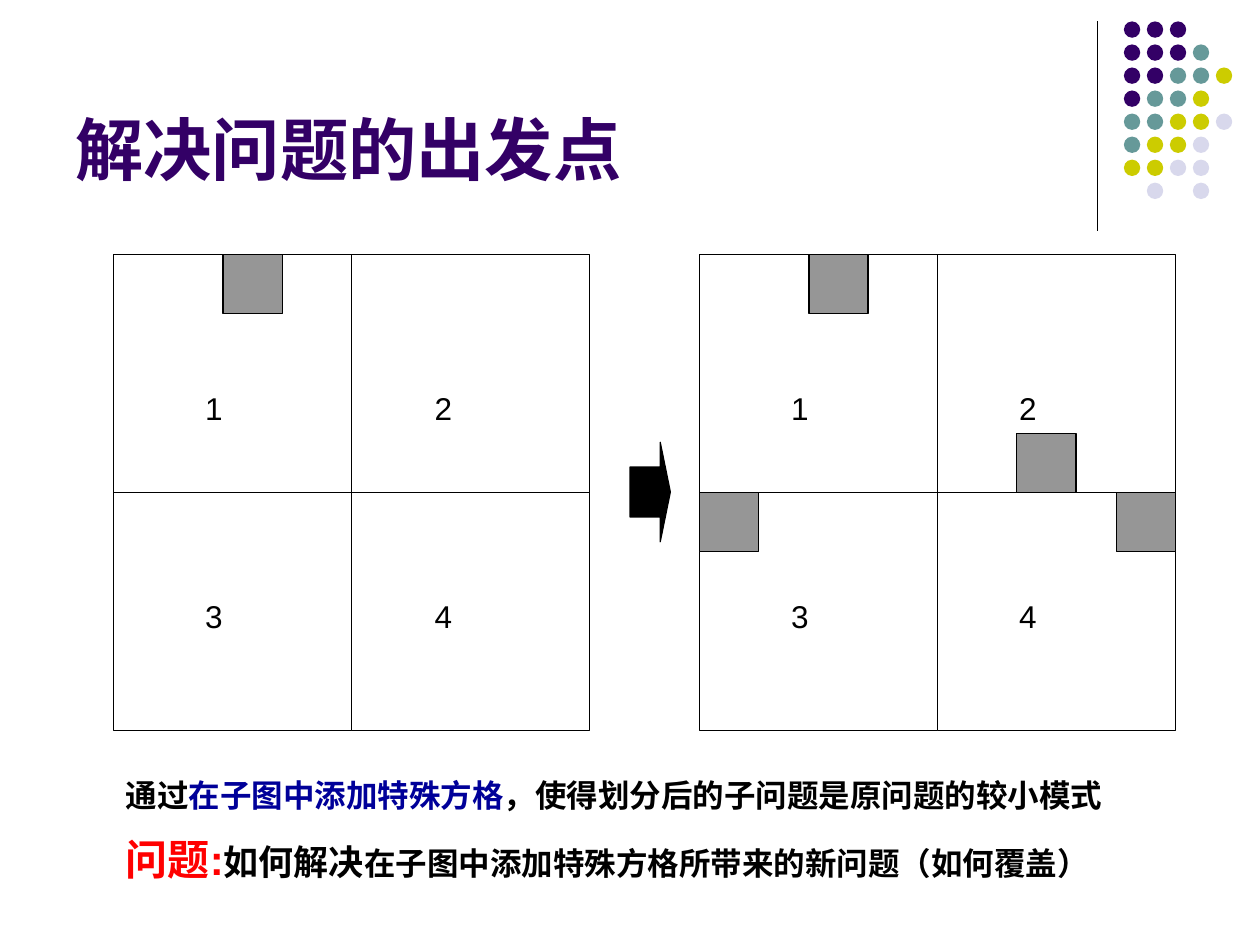
"""Build the slide on dividing a chessboard by adding special squares."""
from lxml import etree
from pptx import Presentation, util as u
from pptx.dml.color import RGBColor
from pptx.enum import shapes, text
from pptx.oxml import ns

Inches, Pt = u.Inches, u.Pt
rgb = RGBColor.from_string


def add_box(parent, kind, x, y, w, h, fill, line=None):
    sp = parent.add_shape(kind, Inches(x), Inches(y), Inches(w), Inches(h))
    sp.shadow.inherit = False
    sp.fill.solid()
    sp.fill.fore_color.rgb = rgb(fill)
    if line:
        sp.line.color.rgb = rgb(line)
        sp.line.width = Pt(0.75)
    else:
        sp.line.fill.background()
    return sp


def add_text(parent, x, y, w, h, paragraphs, bold=False):
    tf = parent.add_textbox(Inches(x), Inches(y), Inches(w), Inches(h)).text_frame
    tf.word_wrap = True
    for i, runs in enumerate(paragraphs):
        p = tf.paragraphs[0] if i == 0 else tf.add_paragraph()
        if i:
            p.space_before = Pt(11.2)
        p.font.name = "Arial"
        p.font.bold = bold
        for words, size, color in runs:
            r = p.add_run()
            r.text = words
            r.font.size = Pt(size)
            r.font.color.rgb = rgb(color)
    return tf


prs = Presentation()
prs.slide_width, prs.slide_height = Inches(10), Inches(7.5)
s = prs.slides.add_slide(prs.slide_layouts[6])

rule = s.shapes.add_connector(shapes.MSO_CONNECTOR.STRAIGHT,
                              Inches(8.71), Inches(0.17), Inches(8.71), Inches(1.83))
rule.line.color.rgb = rgb("000000")
rule.line.width = Pt(0.75)
etree.SubElement(rule._element.spPr, ns.qn("a:effectLst"))

dot_colors = {"P": "330066", "T": "669999", "Y": "CCCC00", "L": "D8D8EC"}
dot_rows = ["PPP", "PPPT", "PPTTY", "PTTY", "TTYYL", "TYYL", "YYLL", " L L"]
dots = s.shapes.add_group_shape().shapes
for row, letters in enumerate(dot_rows):
    for col, letter in enumerate(letters):
        if letter in dot_colors:
            add_box(dots, shapes.MSO_SHAPE.OVAL, 8.92 + col * 0.73 / 4,
                    0.17 + row * 1.28 / 7, 0.13, 0.13, dot_colors[letter])

tf = add_text(s.shapes, 0.5, 0.13, 8.25, 1.42,
              [[("解决问题的出发点", 39, "330066")]], bold=True)
tf.vertical_anchor = text.MSO_ANCHOR.BOTTOM

top, quadrant, unit = 2.02, 1.89, 0.47
first_square = (0.87, 0)
added_squares = [(0, quadrant), (2 * quadrant - unit, quadrant), (2.52, quadrant - unit)]
boards = [(0.9, 2.45, [first_square]), (5.55, 2.44, [first_square] + added_squares)]
for left, right_label, squares in boards:
    board = s.shapes.add_group_shape().shapes
    for row in range(2):
        for col in range(2):
            add_box(board, shapes.MSO_SHAPE.RECTANGLE, left + col * quadrant,
                    top + row * quadrant, quadrant, quadrant, "FFFFFF", "000000")
    for row, y in enumerate((3.04, 4.69)):
        for col, dx in enumerate((0.63, right_label)):
            add_text(board, left + dx, y, 0.55, 0.4,
                     [[(str(2 * row + col + 1), 18, "000000")]])
    for dx, dy in squares:
        add_box(board, shapes.MSO_SHAPE.RECTANGLE, left + dx, top + dy,
                unit, unit, "969696", "000000")

arrow = add_box(s.shapes, shapes.MSO_SHAPE.RIGHT_ARROW, 5, 3.51, 0.32, 0.79,
                "000000", "000000")
arrow.adjustments[0], arrow.adjustments[1] = 0.5, 0.25

add_text(s.shapes, 0.9, 6.11, 8.35, 0.96, [
    [("通过", 18, "000000"),
     ("在子图中添加特殊方格", 18, "000099"),
     ("，使得划分后的子问题是原问题的较小模式", 18, "000000")],
    [("问题:", 24, "FF0000"),
     ("如何解决", 20, "000000"),
     ("在子图中添加特殊方格所带来的新问题（如何覆盖）", 18, "000000")],
], bold=True)

prs.save("out.pptx")
